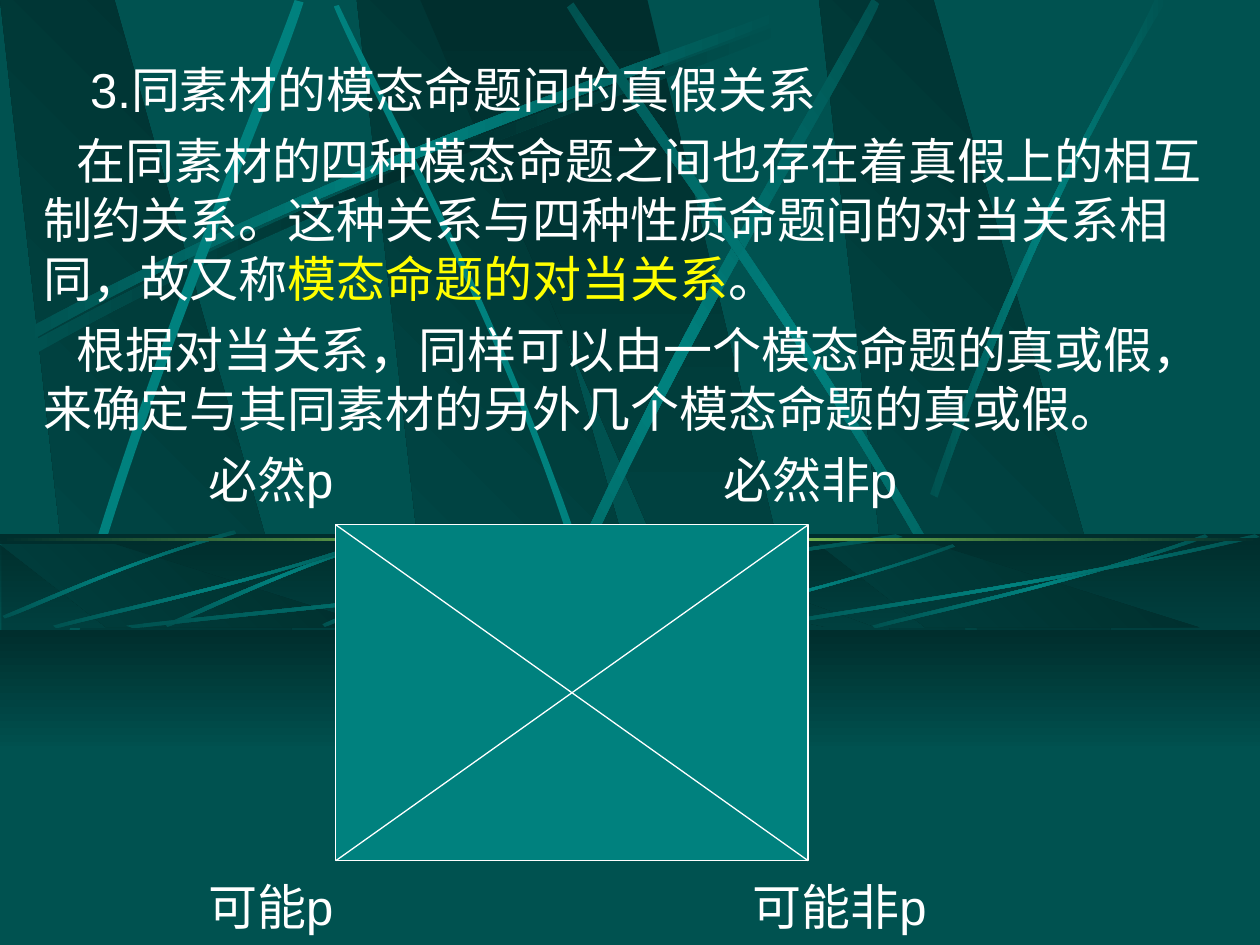
"""Build the slide on truth relations between modal propositions."""
from dataclasses import dataclass

from lxml import etree
from pptx import Presentation
from pptx import oxml
from pptx.dml import color
from pptx.enum import shapes, text
from pptx.oxml import ns
from pptx.util import Cm, Pt


@dataclass(frozen=True)
class Theme:
    base: str = "005250"
    dark: str = "002E2D"
    bright: str = "00817E"
    lime: str = "9CE157"
    white: str = "FFFFFF"
    yellow: str = "FFFF00"
    font: str = "Arial"
    size: float = 28
    space: float = 7
    line: float = 0.75


THEME = Theme()
SHADE = (THEME.dark, THEME.base)
GLOW = (THEME.base, THEME.bright, THEME.base)
GLOOM = (THEME.base, THEME.dark, THEME.base)
EVEN = (THEME.bright, THEME.bright)
WIDTH, HEIGHT = 25.4, 19.05

PANEL = [(0.28, 1), (1, 1), (0.3, 0), (0, 0)]
WIDE_PANEL = [(0, 0), (0.9, 1), (1, 1), (0.5, 0)]

LONG_STREAK = [(0.51, 6.96), (7.21, 3.35), (13.31, 1.45), (15.9, 0.43),
               (15.98, 0.58), (13.41, 1.7), (6.45, 3.81), (0.58, 7.21)]
STEEP_STREAKS = [
    (EVEN, 45, [(11.68, 11.02), (9.93, 5.92), (7.67, 1.91), (6.83, 0.1),
                (6.73, 0.13), (7.49, 1.96), (10.11, 6.5), (11.53, 11.1)]),
    (GLOW, 0, LONG_STREAK),
    (EVEN, 311.7, [(0.58, 15.82), (2.36, 8.43), (5, 2.64), (5.94, 0),
                   (6.12, 0.05), (5.26, 2.72), (2.18, 9.3), (0.81, 15.95)]),
    (GLOW, 321.6, [(9.78, 15.54), (12.65, 8.1), (16.21, 2.54), (17.58, -0.03),
                   (17.73, 0.08), (16.48, 2.69), (12.34, 8.97), (10.01, 15.72)]),
    (GLOW, 34.8, [(20.47, 14.17), (17.02, 7.42), (13.11, 2.39), (11.56, 0.05),
                  (11.43, 0.15), (12.88, 2.51), (17.4, 8.2), (20.29, 14.35)]),
    (GLOW, 0, [(18.75, 9.96), (20.68, 4.37), (22.56, 1.63), (23.29, -0.03),
               (23.55, -0.03), (21.23, 3.66), (19.53, 8.13), (18.9, 10.03)]),
]
SHORT_STREAK = [(0.99, 0), (0.53, 0.35), (0.16, 0.8), (0, 0.97),
                (0.01, 1), (0.17, 0.85), (0.58, 0.31), (1, 0.04)]
FLAT_STREAK = [(1, 0.03), (0.57, 0.56), (0.17, 0.84), (0.01, 1),
               (0, 0.97), (0.17, 0.8), (0.62, 0.49), (0.99, 0)]
SHORT_BOXES = [(6.5, 10.74, 4.78, 1.9), (3.33, 10.74, 4.78, 1.9),
               (0.05, 10.69, 4.72, 1.78)]
FLAT_BOXES = [(2.54, 10.77, 15.67, 1.9), (1.07, 10.77, 6.78, 1.9),
              (13.39, 10.97, 5.87, 1.68), (17.58, 10.77, 6.78, 1.9),
              (15.24, 10.77, 10.16, 1.9)]
UNIT_BOX = (0, 0, 1, 1)
SQUARE = (6.77, 10.58, 9.52, 6.77)

HEADING = "3.同素材的模态命题间的真假关系"
INTRO = ("在同素材的四种模态命题之间也存在着真假上的相互制约关系。"
         "这种关系与四种性质命题间的对当关系相同，故又称")
TERM = "模态命题的对当关系"
RULE = ("根据对当关系，同样可以由一个模态命题的真或假，"
        "来确定与其同素材的另外几个模态命题的真或假。")
LABELS = [("必然p", 3.95, 8.94), ("必然非p", 14.33, 8.94),
          ("可能p", 3.95, 17.55), ("可能非p", 14.92, 17.55)]


def rgb(value):
    """Turn a hex string into a colour."""
    return color.RGBColor.from_string(value)


def fill_solid(shape, value):
    """Fill a shape with one colour."""
    shape.fill.solid()
    shape.fill.fore_color.rgb = rgb(value)


def fill_gradient(shape, colours, angle):
    """Fill a shape with evenly spaced colours along a clockwise angle."""
    step = 100000 // (len(colours) - 1)
    stops = "".join(f'<a:gs pos="{i * step}"><a:srgbClr val="{value}"/></a:gs>'
                    for i, value in enumerate(colours))
    gradient = oxml.parse_xml(
        f'<a:gradFill {ns.nsdecls("a")} rotWithShape="1"><a:gsLst>{stops}</a:gsLst>'
        f'<a:lin ang="{round(angle * 60000)}" scaled="0"/></a:gradFill>')
    shape.fill.background()
    properties = shape._element.spPr
    properties.replace(properties.find(ns.qn("a:noFill")), gradient)


def add_rectangle(slide, box):
    """Add a rectangle without outline or shadow."""
    shape = slide.shapes.add_shape(shapes.MSO_SHAPE.RECTANGLE, *map(Cm, box))
    shape.shadow.inherit = False
    shape.line.fill.background()
    return shape


def add_outline(slide, points, box, colours, angle):
    """Add a closed gradient outline whose points are scaled into a box."""
    left, top, width, height = box
    places = [(Cm(left + x * width), Cm(top + y * height)) for x, y in points]
    builder = slide.shapes.build_freeform(*places[0])
    builder.add_line_segments(places[1:], close=True)
    shape = builder.convert_to_shape()
    shape.shadow.inherit = False
    shape.line.fill.background()
    fill_gradient(shape, colours, angle)
    return shape


def add_streak(slide, controls, box, colours, angle):
    """Add a thin streak bounded by two cubic curves."""
    shape = add_outline(slide, controls, box, colours, angle)
    segments = list(shape._element.iter(ns.qn("a:lnTo")))
    for first, *others in (segments[:3], segments[4:]):
        bend = etree.Element(ns.qn("a:cubicBezTo"))
        first.addprevious(bend)
        for segment in (first, *others):
            bend.append(segment[0])
            segment.getparent().remove(segment)


def add_panels(slide, lefts, wide_left, top, height):
    """Add a row of slanted panels."""
    for left in lefts:
        add_outline(slide, PANEL, (left, top, 7.67, height), SHADE, 135)
    add_outline(slide, WIDE_PANEL, (wide_left, top, 9.17, height), SHADE, 90)


def add_backdrop(slide):
    """Draw the upper panels and streaks, the band and the floor."""
    add_panels(slide, (7.19, 0, 16.51), 8.46, -0.03, 19.1)
    add_streak(slide, LONG_STREAK, UNIT_BOX, GLOOM, 0)
    for colours, angle, controls in STEEP_STREAKS:
        box = (-0.15, -0.23, 1, 1) if controls is LONG_STREAK else UNIT_BOX
        add_streak(slide, controls, box, colours, angle)
    fill_gradient(add_rectangle(slide, (0, 10.77, WIDTH, 1.9)), SHADE, 90)
    add_panels(slide, (0, 16.51), 8.46, 10.97, 1.68)
    veil = add_rectangle(slide, (0.03, 10.82, WIDTH, 1.9))
    fill_solid(veil, THEME.dark)
    tint = veil._element.spPr.find(f'{ns.qn("a:solidFill")}/{ns.qn("a:srgbClr")}')
    etree.SubElement(tint, ns.qn("a:alpha"), val="50000")
    for box in SHORT_BOXES:
        add_streak(slide, SHORT_STREAK, box, GLOW, 314.9)
    for box in FLAT_BOXES:
        add_streak(slide, FLAT_STREAK, box, GLOW, 0)
    horizon = add_rectangle(slide, (0, 10.85, WIDTH, 0.05))
    fill_gradient(horizon, (THEME.dark, THEME.lime, THEME.dark), 0)
    fill_gradient(add_rectangle(slide, (0, 12.7, WIDTH, 2.54)), SHADE, 90)
    fill_solid(add_rectangle(slide, (0, 15.04, WIDTH, HEIGHT - 15.04)), THEME.base)


def add_text(slide, box, paragraphs):
    """Add a text box of paragraphs, each with an indent and coloured parts."""
    frame = slide.shapes.add_textbox(*map(Cm, box)).text_frame
    frame.word_wrap = True
    frame.vertical_anchor = text.MSO_ANCHOR.TOP
    for i, (indent, parts) in enumerate(paragraphs):
        paragraph = frame.add_paragraph() if i else frame.paragraphs[0]
        paragraph._p.get_or_add_pPr().set("indent", str(Cm(indent)))
        paragraph.space_before = Pt(THEME.space if i else 0)
        paragraph.text = parts[0][0]
        for words, _ in parts[1:]:
            paragraph.add_run().text = words
        for run, (_, value) in zip(paragraph.runs, parts):
            run.font.name = THEME.font
            run.font.size = Pt(THEME.size)
            run.font.color.rgb = rgb(value)


def add_diagonal(slide, start, end):
    """Add a thin straight line between two corners."""
    line = slide.shapes.add_connector(shapes.MSO_CONNECTOR.STRAIGHT,
                                      *map(Cm, (*start, *end)))
    line.line.color.rgb = rgb(THEME.white)
    line.line.width = Pt(THEME.line)
    etree.SubElement(line._element.spPr, ns.qn("a:effectLst"))


def add_square(slide):
    """Add the square of opposition with its diagonals and corner labels."""
    square = add_rectangle(slide, SQUARE)
    fill_solid(square, THEME.bright)
    square.line.color.rgb = rgb(THEME.white)
    square.line.width = Pt(THEME.line)
    left, top, width, height = SQUARE
    right, bottom = left + width, top + height
    add_diagonal(slide, (left, top), (right, bottom))
    add_diagonal(slide, (right, top), (left, bottom))
    for label, label_left, label_top in LABELS:
        add_text(slide, (label_left, label_top, 5, 1.45), [(0, [(label, THEME.white)])])


def main():
    """Build and save the presentation."""
    presentation = Presentation()
    presentation.slide_width, presentation.slide_height = Cm(WIDTH), Cm(HEIGHT)
    slide = presentation.slides.add_slide(presentation.slide_layouts[6])
    fill_solid(slide.background, THEME.base)
    add_backdrop(slide)
    add_text(slide, (0.62, 1.08, 24.13, 7.9), [
        (0.95, [(HEADING, THEME.white)]),
        (0.67, [(INTRO, THEME.white), (TERM, THEME.yellow), ("。", THEME.white)]),
        (0.67, [(RULE, THEME.white)]),
    ])
    add_square(slide)
    presentation.save("out.pptx")


if __name__ == "__main__":
    main()
